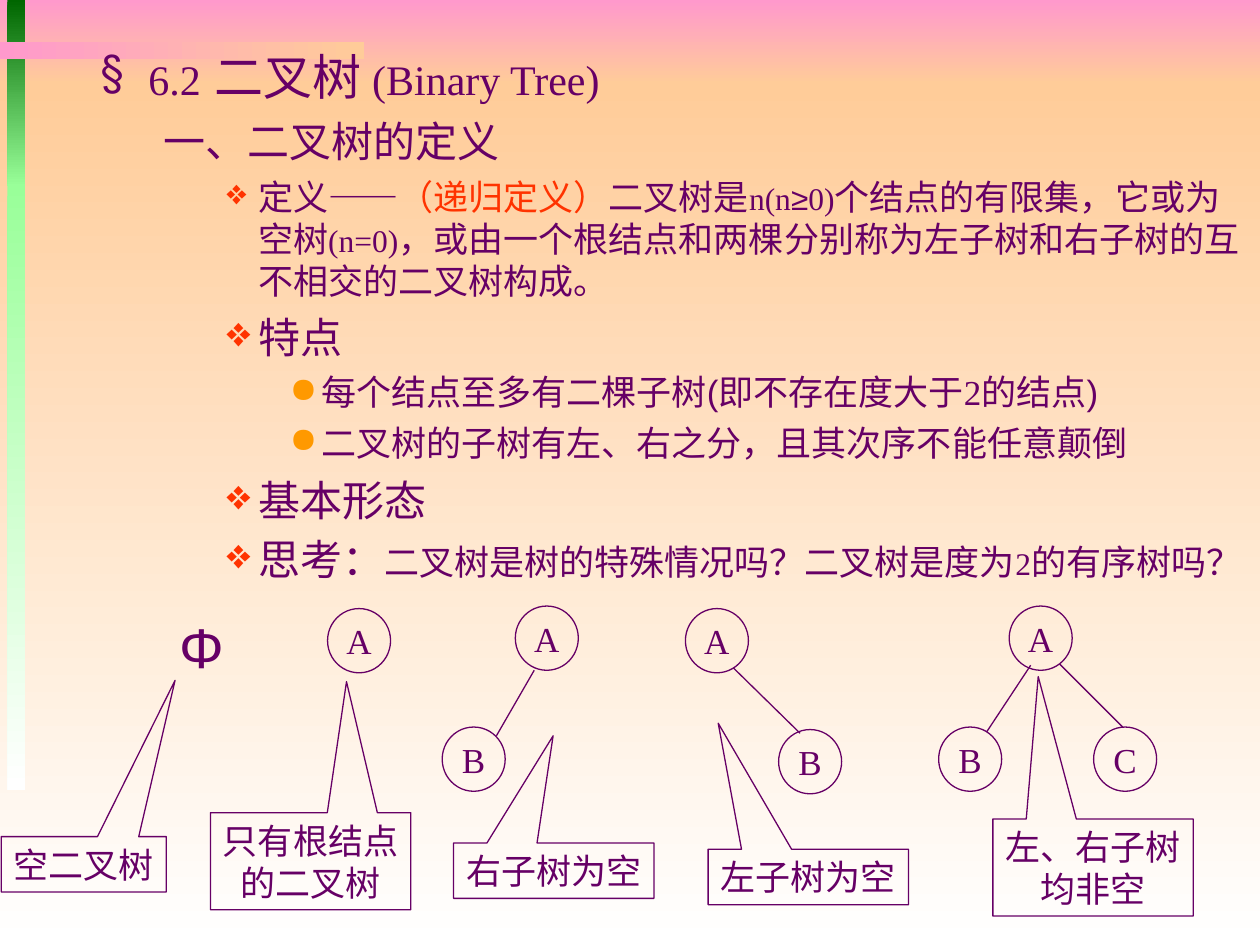
from lxml import etree
from pptx import Presentation
from pptx.dml.color import RGBColor
from pptx.enum.shapes import MSO_CONNECTOR, MSO_SHAPE
from pptx.enum.text import MSO_ANCHOR, PP_ALIGN
from pptx.oxml.ns import qn
from pptx.util import Inches, Pt

RECT, OVAL = MSO_SHAPE.RECTANGLE, MSO_SHAPE.OVAL
CALLOUT = MSO_SHAPE.RECTANGULAR_CALLOUT
STRAIGHT = MSO_CONNECTOR.STRAIGHT
MIDDLE, CENTER = MSO_ANCHOR.MIDDLE, PP_ALIGN.CENTER

THEME = {
    "ink": "660066", "accent": "FF3300", "dot": "FF9900",
    "pink": "FF99CC", "peach": "FFCC99", "white": "FFFFFF",
    "green": "006600", "mint": "99FF99",
    "sans": "Arial", "serif": "Times New Roman",
    "title": 28, "head": 24, "body": 20, "small": 18, "symbol": 32, "line": 0.75,
}
DOWN, ACROSS = 270, 0

BANDS = [
    ((0, 0, 10, 0.67), "pink", "peach", DOWN),
    ((0, 0.67, 10, 6.83), "peach", "white", DOWN),
    ((0.06, 0, 0.14, 1.48), "green", "mint", DOWN),
    ((0.06, 1.46, 0.14, 4.81), "mint", "white", DOWN),
    ((0, 0.33, 2.89, 0.14), "pink", "peach", ACROSS),
]

LEVELS = [
    (0.38, -0.38, "§", "ink"),
    (0.81, -0.31, None, None),
    (1.25, -0.25, "❖", "accent"),
    (1.75, -0.25, "●", "dot"),
]

OUTLINE = [
    (0, 0, [("6.2", "head", "serif"), (" 二叉树 ", "title", "sans"),
            ("(Binary Tree)", "head", "serif")]),
    (1, 6, [("一、二叉树的定义", "head", "sans")]),
    (2, 5, [("定义——", "body", "sans"), ("（递归定义）", "body", "sans", "accent"),
            ("二叉树是", "body", "sans"), ("n(n", "small", "serif"),
            ("≥", "small", "sans"), ("0)", "small", "serif"),
            ("个结点的有限集，它或为空树", "body", "sans"), ("(n=0)", "small", "serif"),
            ("，或由一个根结点和两棵分别称为左子树和右子树的互不相交的二叉树构成。",
             "body", "sans")]),
    (2, 6, [("特点", "head", "sans")]),
    (3, 5, [("每个结点至多有二棵子树(即不存在度大于", "body", "sans"),
            ("2", "body", "serif"), ("的结点)", "body", "sans")]),
    (3, 5, [("二叉树的子树有左、右之分，且其次序不能任意颠倒", "body", "sans")]),
    (2, 6, [("基本形态", "head", "sans")]),
    (2, 5, [("思考：", "head", "sans"),
            ("二叉树是树的特殊情况吗？二叉树是度为", "body", "sans"),
            ("2", "small", "serif"), ("的有序树吗？", "body", "sans")]),
]

EMPTY_TREE = ("Φ", (1.33, 4.81, 0.54, 0.64))
NODE_SIZE = (0.5, 0.51)
CALLOUT_HEIGHTS = {1: 0.44, 2: 0.77}

FORMS = [
    {"nodes": [], "edges": [],
     "caption": (["空二叉树"], 0.01, 6.64, 1.31, (1.39, 5.4))},
    {"nodes": [("A", 2.6, 4.83)], "edges": [],
     "caption": (["只有根结点", "的二叉树"], 1.67, 6.45, 1.59, (2.75, 5.41))},
    {"nodes": [("A", 4.09, 4.81), ("B", 3.51, 5.77)],
     "edges": [(4.24, 5.32, 3.94, 5.84)],
     "caption": (["右子树为空"], 3.6, 6.69, 1.59, (4.39, 5.84))},
    {"nodes": [("A", 5.44, 4.83), ("B", 6.18, 5.79)],
     "edges": [(5.82, 5.3, 6.35, 5.82)],
     "caption": (["左子树为空"], 5.62, 6.74, 1.59, (5.7, 5.74))},
    {"nodes": [("A", 8.01, 4.81), ("B", 7.45, 5.77), ("C", 8.68, 5.77)],
     "edges": [(8.18, 5.28, 7.83, 5.81), (8.41, 5.27, 8.91, 5.77)],
     "caption": (["左、右子树", "均非空"], 7.88, 6.5, 1.59, (8.24, 5.37))},
]


def color(name):
    return RGBColor.from_string(THEME[name])


def inches(values):
    return [Inches(value) for value in values]


def style_run(run, size, face, ink="ink"):
    run.font.size = Pt(THEME[size])
    run.font.name = THEME[face]
    run.font.color.rgb = color(ink)


def add_band(slide, box, start, end, angle):
    band = slide.shapes.add_shape(RECT, *inches(box))
    band.shadow.inherit = False
    band.line.fill.background()
    band.fill.gradient()
    band.fill.gradient_angle = angle
    for stop, name in zip(band.fill.gradient_stops, (start, end)):
        stop.color.rgb = color(name)


def set_bullet(paragraph, margin, indent, mark, ink):
    props = paragraph._p.get_or_add_pPr()
    props.set("marL", str(Inches(margin)))
    props.set("indent", str(Inches(indent)))
    if mark is None:
        etree.SubElement(props, qn("a:buNone"))
        return
    tint = etree.SubElement(props, qn("a:buClr"))
    etree.SubElement(tint, qn("a:srgbClr"), val=THEME[ink])
    etree.SubElement(props, qn("a:buChar"), char=mark)


def add_outline(slide):
    frame = slide.shapes.add_textbox(*inches((0.7, 0.32, 9.3, 4.62))).text_frame
    frame.word_wrap = True
    for index, (level, gap, pieces) in enumerate(OUTLINE):
        paragraph = frame.add_paragraph() if index else frame.paragraphs[0]
        paragraph.level = level
        paragraph.space_before = Pt(gap)
        set_bullet(paragraph, *LEVELS[level])
        for words, *style in pieces:
            run = paragraph.add_run()
            run.text = words
            style_run(run, *style)


def write_centered(shape, words, size, face):
    frame = shape.text_frame
    frame.text = words
    frame.word_wrap = False
    frame.vertical_anchor = MIDDLE
    for paragraph in frame.paragraphs:
        paragraph.alignment = CENTER
        for run in paragraph.runs:
            style_run(run, size, face)


def set_outline(item):
    item.line.color.rgb = color("ink")
    item.line.width = Pt(THEME["line"])


def add_outlined(slide, kind, box, words):
    shape = slide.shapes.add_shape(kind, *inches(box))
    shape.shadow.inherit = False
    shape.fill.background()
    set_outline(shape)
    write_centered(shape, words, "body", "serif")
    return shape


def add_edge(slide, ends):
    edge = slide.shapes.add_connector(STRAIGHT, *inches(ends))
    set_outline(edge)
    etree.SubElement(edge._element.spPr, qn("a:effectLst"))


def add_caption(slide, lines, left, top, width, tip):
    height = CALLOUT_HEIGHTS[len(lines)]
    callout = add_outlined(slide, CALLOUT, (left, top, width, height), "\n".join(lines))
    callout.adjustments[0] = (tip[0] - left) / width - 0.5
    callout.adjustments[1] = (tip[1] - top) / height - 0.5


def main():
    deck = Presentation()
    deck.slide_width, deck.slide_height = inches((10, 7.5))
    slide = deck.slides.add_slide(deck.slide_layouts[6])
    for band in BANDS:
        add_band(slide, *band)
    add_outline(slide)
    symbol, box = EMPTY_TREE
    write_centered(slide.shapes.add_textbox(*inches(box)), symbol, "symbol", "sans")
    for form in FORMS:
        for label, left, top in form["nodes"]:
            add_outlined(slide, OVAL, (left, top, *NODE_SIZE), label)
        for ends in form["edges"]:
            add_edge(slide, ends)
        add_caption(slide, *form["caption"])
    deck.save("out.pptx")


if __name__ == "__main__":
    main()
